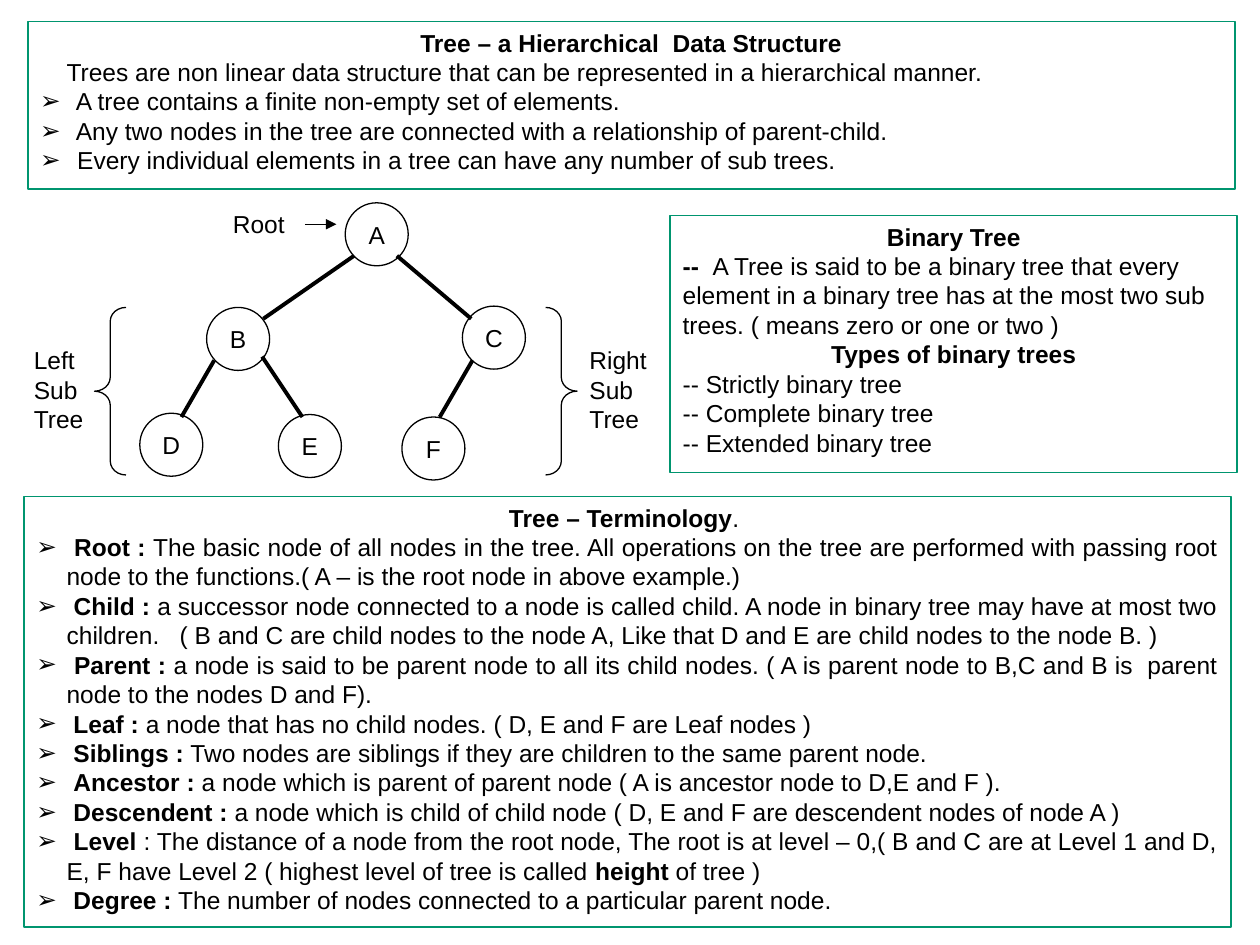
from lxml import etree
from pptx import Presentation
from pptx.dml.color import RGBColor
from pptx.enum import shapes as sh, text as tx
from pptx.oxml.ns import qn
from pptx.util import Inches, Pt

BLACK = RGBColor(0x00, 0x00, 0x00)
GREEN = RGBColor(0x00, 0x95, 0x6F)
LEFT, MID, JUST = tx.PP_ALIGN.LEFT, tx.PP_ALIGN.CENTER, tx.PP_ALIGN.JUSTIFY
SIZE = 0.5

INTRO = [
    ("head", "*Tree – a Hierarchical  Data Structure*"),
    ("lead", "Trees are non linear data structure that can be represented in a hierarchical manner."),
    ("item", " A tree contains a finite non-empty set of elements."),
    ("item", " Any two nodes in the tree are connected with a relationship of parent-child."),
    ("item", " Every individual elements in a tree can have any number of sub trees."),
]
BINARY = [
    ("head", "*Binary Tree*"),
    ("body", "*--  *A Tree is said to be a binary tree that every element in a binary tree "
             "has at the most two sub trees. ( means zero or one or two )"),
    ("head", "*Types of binary trees*"),
    ("body", "-- Strictly binary tree"),
    ("body", "-- Complete binary tree"),
    ("body", "-- Extended binary tree"),
]
TERMS = [
    ("head", "*Tree – Terminology*. "),
    ("item", " *Root : *The basic node of all nodes in the tree. All operations on the tree are "
             "performed with passing root node to the functions.( A – is the root node in above example.)"),
    ("item", " *Child :* a successor node connected to a node is called child. A node in binary tree "
             "may have at most two children.   ( B and C are child nodes to the node A, "
             "Like that D and E are child nodes to the node B. )"),
    ("item", " *Parent :* a node is said to be parent node to all its child nodes. "
             "( A is parent node to B,C and B is  parent node to the nodes D and F)."),
    ("item", " *Leaf :* a node that has no child nodes. ( D, E and F are Leaf nodes )"),
    ("item", " *Siblings :* Two nodes are siblings if they are children to the same parent node."),
    ("item", " *Ancestor :* a node which is parent of parent node ( A is ancestor node to D,E and F )."),
    ("item", " *Descendent :* a node which is child of child node "
             "( D, E and F are descendent nodes of node A )"),
    ("item", " *Level *: The distance of a node from the root node, The root is at level – 0,"
             "( B and C are at Level 1 and D, E, F have Level 2 "
             "( highest level of tree is called *height* of tree )"),
    ("item", " *Degree :* The number of nodes connected to a particular parent node."),
]
ALIGN = {"head": MID, "lead": JUST, "item": JUST, "body": LEFT}
NODES = {"A": (2.74, 1.61), "B": (1.64, 2.44), "C": (3.67, 2.43),
         "D": (1.11, 3.28), "E": (2.21, 3.29), "F": (3.19, 3.31)}
EDGES = [(3.15, 2.03, 3.74, 2.53), (2.81, 2.03, 2.09, 2.53), (1.7, 2.86, 1.44, 3.31),
         (2.08, 2.83, 2.4, 3.31), (3.75, 2.86, 3.49, 3.31)]
LABELS = [("Left Sub Tree", 0.17, 2.69, 0.8), ("Right Sub Tree", 4.58, 2.69, 0.8),
          ("Root", 1.75, 1.61, 0.34)]


def style(font, bold=False):
    """Set the common font."""
    font.name, font.size, font.bold = "Arial", Pt(14), bold
    font.color.rgb = BLACK


def indent(para, left, first):
    """Set the left margin and the first line indent."""
    props = para._p.get_or_add_pPr()
    props.set("marL", str(Inches(left)))
    props.set("indent", str(Inches(first)))
    return props


def bullet(para):
    """Give a paragraph an arrow bullet with a hanging indent."""
    props = indent(para, 0.24, -0.24)
    color = etree.SubElement(props, qn("a:buClr"))
    etree.SubElement(color, qn("a:srgbClr")).set("val", str(BLACK))
    etree.SubElement(props, qn("a:buFont")).set("typeface", "Arial")
    etree.SubElement(props, qn("a:buChar")).set("char", "➢")


def write(para, kind, words):
    """Fill a paragraph, with bold text between asterisks."""
    para.alignment = ALIGN[kind]
    if kind == "item":
        bullet(para)
    elif kind == "lead":
        indent(para, 0, 0.21)
    for num, part in enumerate(words.split("*")):
        if part:
            run = para.add_run()
            run.text = part
            style(run.font, num % 2 == 1)


def outline(slide, kind, place, color, width):
    """Add an unfilled shape with a plain line."""
    shape = slide.shapes.add_shape(kind, *map(Inches, place))
    shape.shadow.inherit = False
    shape.fill.background()
    shape.line.color.rgb = color
    shape.line.width = Pt(width)
    return shape


def panel(slide, place, lines):
    """Add a green framed box of paragraphs."""
    frame = outline(slide, sh.MSO_SHAPE.RECTANGLE, place, GREEN, 1).text_frame
    frame.word_wrap = True
    frame.vertical_anchor = tx.MSO_ANCHOR.TOP
    for num, (kind, words) in enumerate(lines):
        write(frame.add_paragraph() if num else frame.paragraphs[0], kind, words)


def node(slide, name, left, top):
    """Add a tree node."""
    shape = outline(slide, sh.MSO_SHAPE.OVAL, (left, top, SIZE, SIZE), BLACK, 0.75)
    frame = shape.text_frame
    frame.word_wrap = False
    frame.vertical_anchor = tx.MSO_ANCHOR.MIDDLE
    write(frame.paragraphs[0], "head", name)


def brace(slide, kind, left):
    """Add a curly brace beside a sub tree."""
    shape = outline(slide, kind, (left, 2.44, 0.25, 1.33), BLACK, 0.75)
    shape.adjustments[0] = 0.44


def label(slide, words, left, top, height):
    """Add a plain label."""
    box = slide.shapes.add_textbox(*map(Inches, (left, top, 0.67, height)))
    box.text_frame.word_wrap = True
    write(box.text_frame.paragraphs[0], "body", words)


def line(slide, ends, width):
    """Add a straight black line."""
    link = slide.shapes.add_connector(sh.MSO_CONNECTOR.STRAIGHT, *map(Inches, ends))
    link.line.color.rgb = BLACK
    link.line.width = Pt(width)
    etree.SubElement(link._element.spPr, qn("a:effectLst"))
    return link


def arrow(slide, ends):
    """Add a thin line with an arrowhead at its end."""
    link = line(slide, ends, 0.75)
    etree.SubElement(link.line._get_or_add_ln(), qn("a:tailEnd")).set("type", "triangle")


def main():
    """Build the slide and save it."""
    deck = Presentation()
    deck.slide_width, deck.slide_height = Inches(10), Inches(7.5)
    slide = deck.slides.add_slide(deck.slide_layouts[6])
    panel(slide, (0.22, 0.17, 9.58, 1.33), INTRO)
    for name, (left, top) in NODES.items():
        node(slide, name, left, top)
    for ends in EDGES:
        line(slide, ends, 2.25)
    brace(slide, sh.MSO_SHAPE.LEFT_BRACE, 0.75)
    brace(slide, sh.MSO_SHAPE.RIGHT_BRACE, 4.33)
    panel(slide, (5.32, 1.71, 4.5, 2.04), BINARY)
    panel(slide, (0.19, 3.94, 9.58, 3.42), TERMS)
    for item in LABELS:
        label(slide, *item)
    arrow(slide, (2.42, 1.78, 2.67, 1.78))
    deck.save("out.pptx")


if __name__ == "__main__":
    main()
